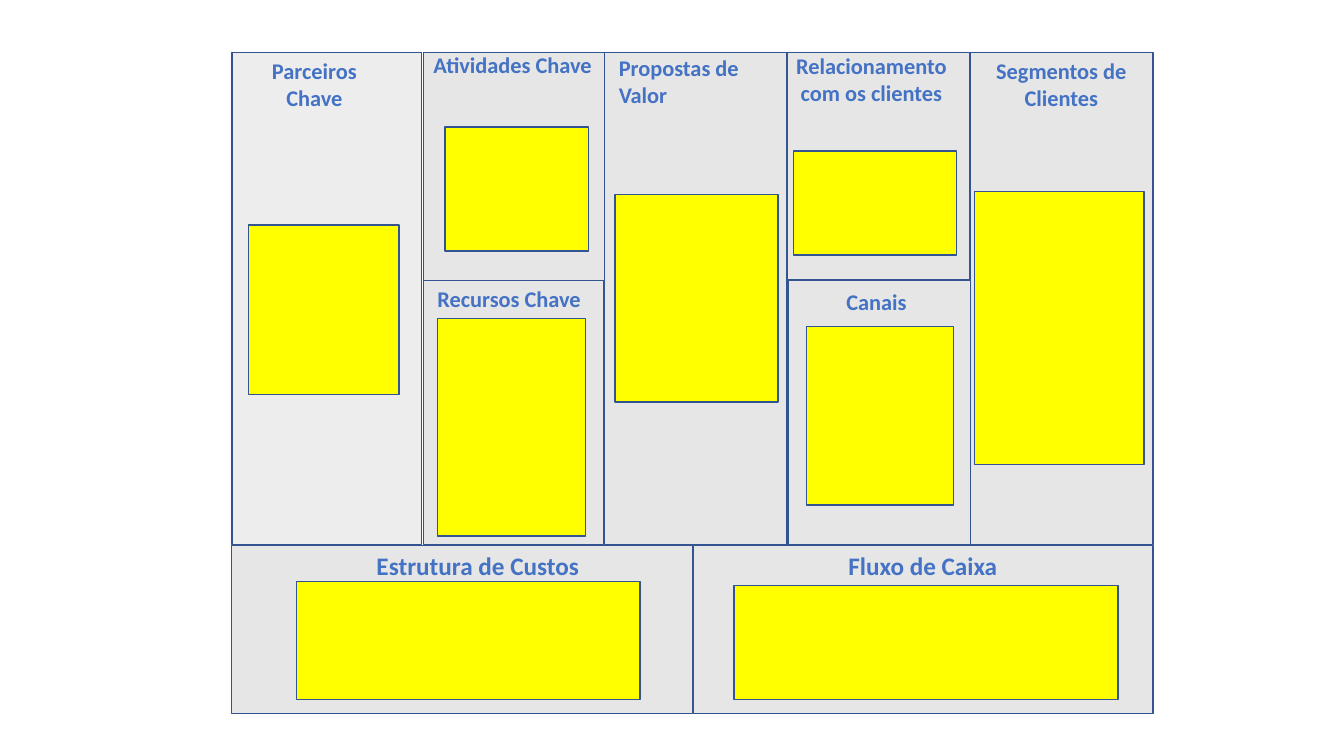
from pptx import Presentation
from pptx.dml.color import RGBColor
from pptx.enum.shapes import MSO_SHAPE
from pptx.enum.text import MSO_AUTO_SIZE, PP_ALIGN
from pptx.util import Pt

NAVY = RGBColor(0x32, 0x54, 0x91)
BLUE = RGBColor(0x44, 0x72, 0xC4)
PALE = RGBColor(0xED, 0xED, 0xED)
GRAY = RGBColor(0xE7, 0xE6, 0xE6)
YELLOW = RGBColor(0xFF, 0xFF, 0x00)

deck = Presentation()
deck.slide_width, deck.slide_height = Pt(960), Pt(540)
slide = deck.slides.add_slide(deck.slide_layouts[6])


def add_box(place, color):
    box = slide.shapes.add_shape(MSO_SHAPE.RECTANGLE, *map(Pt, place))
    box.shadow.inherit = False
    box.fill.solid()
    box.fill.fore_color.rgb = color
    box.line.color.rgb = NAVY
    box.line.width = Pt(1)


def add_text(text, place, size=16, color=BLUE, align=PP_ALIGN.CENTER):
    frame = slide.shapes.add_textbox(*map(Pt, place)).text_frame
    frame.word_wrap = True
    frame.auto_size = MSO_AUTO_SIZE.SHAPE_TO_FIT_TEXT
    para = frame.paragraphs[0]
    para.alignment = align
    run = para.add_run()
    run.text = text
    run.font.name = "Calibri"
    run.font.size = Pt(size)
    run.font.bold = True
    run.font.color.rgb = color


TOP, MID, BASE = 37.4, 200.2, 389.5
TALL, LOW, FOOT = 351.4, 188.6, 120.2
WIDE = 130.3

panels = [
    ((165.6, TOP, 135.4, TALL), PALE),
    ((302.4, TOP, 131, 164.9), GRAY),
    ((432, TOP, WIDE, TALL), GRAY),
    ((562.3, TOP, WIDE, 162.7), GRAY),
    ((693.4, TOP, WIDE, TALL), GRAY),
    ((302.4, MID, 128.9, LOW), GRAY),
    ((563, MID, WIDE, LOW), GRAY),
    ((165.6, BASE, 329, FOOT), GRAY),
    ((495.4, BASE, 328.3, FOOT), GRAY),
]
labels = [
    ("Parceiros Chave", (167, TOP, 115.2, 46), {}),
    ("Atividades Chave", (301, 33.1, WIDE, 48.2), {}),
    ("Propostas de Valor", (434.9, 35.3, WIDE, 46), {"align": PP_ALIGN.LEFT}),
    ("Relacionamento com os clientes", (557.3, 33.8, WIDE, 46), {}),
    ("Segmentos de Clientes", (698.4, TOP, 119.5, 46), {}),
    ("Recursos Chave", (301, MID, 125.3, 27), {}),
    ("Canais", (560.9, 202.3, WIDE, 27), {}),
    ("Estrutura de Custos", (187.2, BASE, 308.2, 29), {"size": 18}),
    ("Fluxo de Caixa", (496.1, BASE, 326.2, 29), {"size": 18}),
]
notes = [
    (177.5, 160.6, 107.5, 121),
    (318, 90.7, 102.2, 88.6),
    (439.2, 139, 116.6, 148.3),
    (566.6, 108, 116.6, 74.2),
    (696.2, 136.8, 121, 195.1),
    (312.5, 227.5, 105.8, 155.5),
    (576, 233.3, 105.1, 127.4),
    (211.7, 415.4, 245.5, 84.2),
    (524.2, 418.3, 274.3, 81.4),
]

for place, color in panels:
    add_box(place, color)
for text, place, style in labels:
    add_text(text, place, **style)
for place in notes:
    add_box(place, YELLOW)

deck.save("out.pptx")
